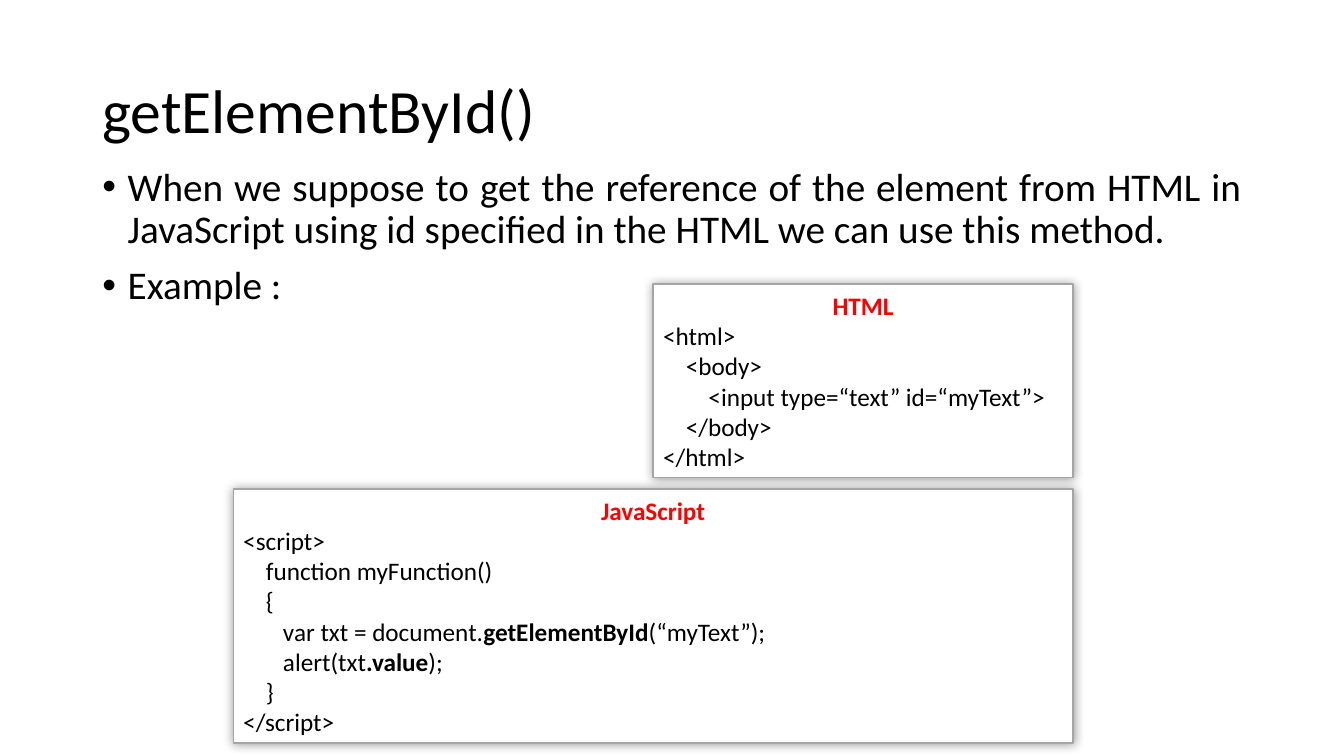
"""Build the getElementById() slide with its HTML and JavaScript samples."""
from lxml.etree import SubElement
from pptx import Presentation
from pptx.dml.color import RGBColor
from pptx.enum.shapes import MSO_SHAPE
from pptx.enum.text import MSO_ANCHOR, PP_ALIGN
from pptx.oxml.ns import qn
from pptx.util import Cm, Pt


class Deck:
    font = "Calibri"
    hues = {"ink": "000000", "paper": "FFFFFF", "edge": "A5A5A5", "head": "FF0000"}

    def __init__(self):
        self.prs = Presentation()
        self.prs.slide_width, self.prs.slide_height = Cm(33.87), Cm(19.05)
        self.slide = self.prs.slides.add_slide(self.prs.slide_layouts[6])

    def hue(self, name):
        return RGBColor.from_string(self.hues[name])

    def add_run(self, para, text, size, hue="ink", bold=False):
        run = para.add_run()
        run.text = text
        run.font.name, run.font.size, run.font.bold = self.font, Pt(size), bold
        run.font.color.rgb = self.hue(hue)

    def paras(self, frame, count):
        return [frame.paragraphs[0]] + [frame.add_paragraph() for _ in range(count - 1)]

    def text_box(self, box, anchor):
        frame = self.slide.shapes.add_textbox(*map(Cm, box)).text_frame
        frame.word_wrap = True
        frame.vertical_anchor = anchor
        return frame

    def title(self, box, text):
        para = self.text_box(box, MSO_ANCHOR.MIDDLE).paragraphs[0]
        para.line_spacing = 0.9
        self.add_run(para, text, 44)

    def bullets(self, box, items):
        frame = self.text_box(box, MSO_ANCHOR.TOP)
        for i, (para, text) in enumerate(zip(self.paras(frame, len(items)), items)):
            props = para._p.get_or_add_pPr()
            props.set("marL", str(Cm(0.64)))
            props.set("indent", str(-Cm(0.64)))
            SubElement(props, qn("a:buFont"), typeface="Arial")
            SubElement(props, qn("a:buChar"), char="•")
            para.alignment = PP_ALIGN.JUSTIFY
            para.line_spacing = 0.9
            para.space_before = Pt(10 if i else 0)
            self.add_run(para, text, 28)

    def glow(self, shape):
        shape.shadow.inherit = False
        effects = shape._element.spPr.find(qn("a:effectLst"))
        shade = SubElement(effects, qn("a:outerShdw"), blurRad=str(Cm(0.25)),
                           dist="0", algn="ctr", rotWithShape="0")
        tint = SubElement(shade, qn("a:srgbClr"), val=self.hues["ink"])
        SubElement(tint, qn("a:alpha"), val="40000")

    def code(self, box, head, lines):
        shape = self.slide.shapes.add_shape(MSO_SHAPE.RECTANGLE, *map(Cm, box))
        shape.fill.solid()
        shape.fill.fore_color.rgb = self.hue("paper")
        shape.line.color.rgb = self.hue("edge")
        shape.line.width = Pt(1)
        self.glow(shape)
        frame = shape.text_frame
        frame.word_wrap = True
        frame.vertical_anchor = MSO_ANCHOR.MIDDLE
        top, *rest = self.paras(frame, len(lines) + 1)
        top.alignment = PP_ALIGN.CENTER
        self.add_run(top, head, 18, "head", True)
        for para, parts in zip(rest, lines):
            para.alignment = PP_ALIGN.LEFT
            for i, part in enumerate(parts):
                self.add_run(para, part, 18, bold=i % 2 == 1)


def main():
    deck = Deck()
    deck.title((2.33, 1.02, 29.21, 3.68), "getElementById()")
    deck.bullets((2.33, 4.09, 29.21, 13.06), [
        "When we suppose to get the reference of the element from HTML in "
        "JavaScript using id specified in the HTML we can use this method.",
        "Example : ",
    ])
    deck.code((16.46, 7.16, 10.58, 4.88), "HTML", [
        ["<html>"],
        ["    <body>"],
        ["        <input type=“text” id=“myText”>"],
        ["    </body>"],
        ["</html>"],
    ])
    deck.code((5.88, 12.32, 21.16, 6.4), "JavaScript", [
        ["<script>"],
        ["    function myFunction()"],
        ["    {"],
        ["       var txt = document.", "getElementById", "(“myText”);"],
        ["       alert(txt", ".value", ");"],
        ["    }"],
        ["</script>"],
    ])
    deck.prs.save("out.pptx")


if __name__ == "__main__":
    main()
